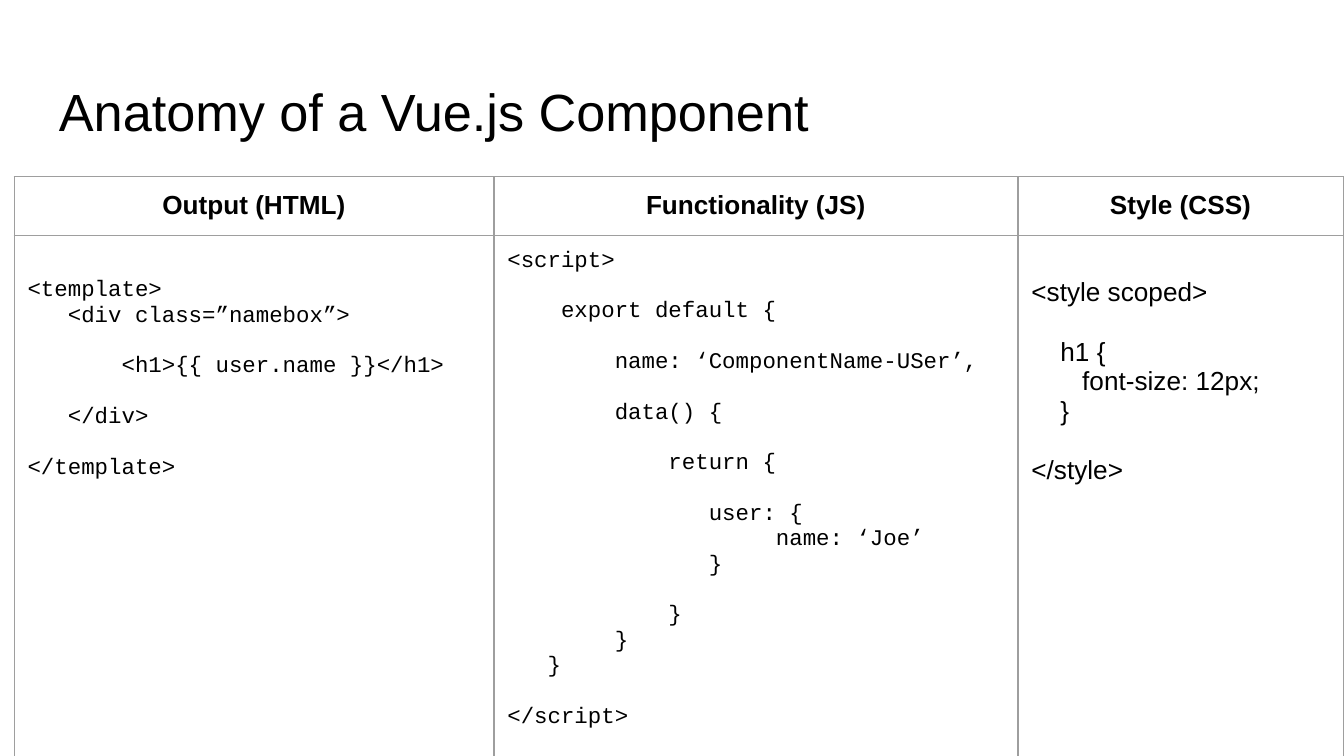
from lxml.etree import SubElement
from pptx import Presentation
from pptx.dml.color import RGBColor
from pptx.enum.text import MSO_ANCHOR, PP_ALIGN
from pptx.oxml.ns import qn
from pptx.util import Inches, Pt

WIDTH = Inches(10)
HEIGHT = WIDTH * 9 // 16
TEXT, BORDER = "000000", "9E9E9E"
INSET = Inches(0.1)
COLUMN_WEIGHTS = (3.57, 3.9, 2.42)

TEMPLATE_CODE = """\
<template>
   <div class=”namebox”>

       <h1>{{ user.name }}</h1>

   </div>

</template>"""

SCRIPT_CODE = """\
<script>

    export default {

        name: ‘ComponentName-USer’,

        data() {

            return {

               user: {
                    name: ‘Joe’
               }

            }
        }
   }

</script>"""

STYLE_CODE = """\
<style scoped>

    h1 {
       font-size: 12px;
    }

</style>"""

SECTIONS = (
    ("Output (HTML)", TEMPLATE_CODE, "Courier New", 12, 0.32),
    ("Functionality (JS)", SCRIPT_CODE, "Courier New", 12, 0.1),
    ("Style (CSS)", STYLE_CODE, "Arial", 14, 0.32),
)


def color(value):
    return RGBColor.from_string(value)


def set_font(para, name, size, bold=False):
    font = para.font
    font.name, font.size, font.bold = name, Pt(size), bold
    font.color.rgb = color(TEXT)


def write_code(frame, code, name, size):
    line_height = size * (1.13 if name == "Courier New" else 1.15)
    para, gap = frame.paragraphs[0], False
    for number, line in enumerate(code.splitlines()):
        if not line:
            gap = True
            continue
        if number:
            para = frame.add_paragraph()
        para.text = line
        if gap:
            para.space_before = Pt(round(line_height, 1))
        set_font(para, name, size)
        gap = False


def format_cell(cell, top=0.1):
    cell.margin_left = cell.margin_right = cell.margin_bottom = INSET
    cell.margin_top = Inches(top)
    cell.vertical_anchor = MSO_ANCHOR.TOP
    properties = cell._tc.get_or_add_tcPr()
    for side in ("a:lnL", "a:lnR", "a:lnT", "a:lnB"):
        line = SubElement(properties, qn(side), w=str(Pt(0.75)))
        fill = SubElement(line, qn("a:solidFill"))
        SubElement(fill, qn("a:srgbClr"), val=BORDER)
    cell.fill.background()


def add_title(page, left, top, width, height):
    box = page.shapes.add_textbox(left, top, width, height)
    frame = box.text_frame
    frame.word_wrap = True
    frame.margin_left = frame.margin_right = frame.margin_top = INSET
    frame.margin_bottom = 0
    para = frame.paragraphs[0]
    para.text = "Anatomy of a Vue.js Component"
    set_font(para, "Arial", 28)


def add_sections(page, left, top, width, height):
    table = page.shapes.add_table(2, len(SECTIONS), left, top, width, height).table
    table.first_row = table.horz_banding = False
    for index, (heading, code, name, size, margin) in enumerate(SECTIONS):
        share = COLUMN_WEIGHTS[index] / sum(COLUMN_WEIGHTS)
        table.columns[index].width = int(width * share)
        header, body = table.cell(0, index), table.cell(1, index)
        format_cell(header)
        para = header.text_frame.paragraphs[0]
        para.text = heading
        para.alignment = PP_ALIGN.CENTER
        set_font(para, "Arial", 14, True)
        format_cell(body, margin)
        write_code(body.text_frame, code, name, size)


def main():
    deck = Presentation()
    deck.slide_width, deck.slide_height = WIDTH, HEIGHT
    page = deck.slides.add_slide(deck.slide_layouts[6])
    add_title(page, int(WIDTH * 0.034), int(HEIGHT * 0.087),
              int(WIDTH * 0.932), int(HEIGHT * 0.112))
    add_sections(page, int(WIDTH * 0.0105), int(HEIGHT * 0.234),
                 int(WIDTH * 0.989), int(HEIGHT * 0.149))
    deck.save("out.pptx")


if __name__ == "__main__":
    main()
